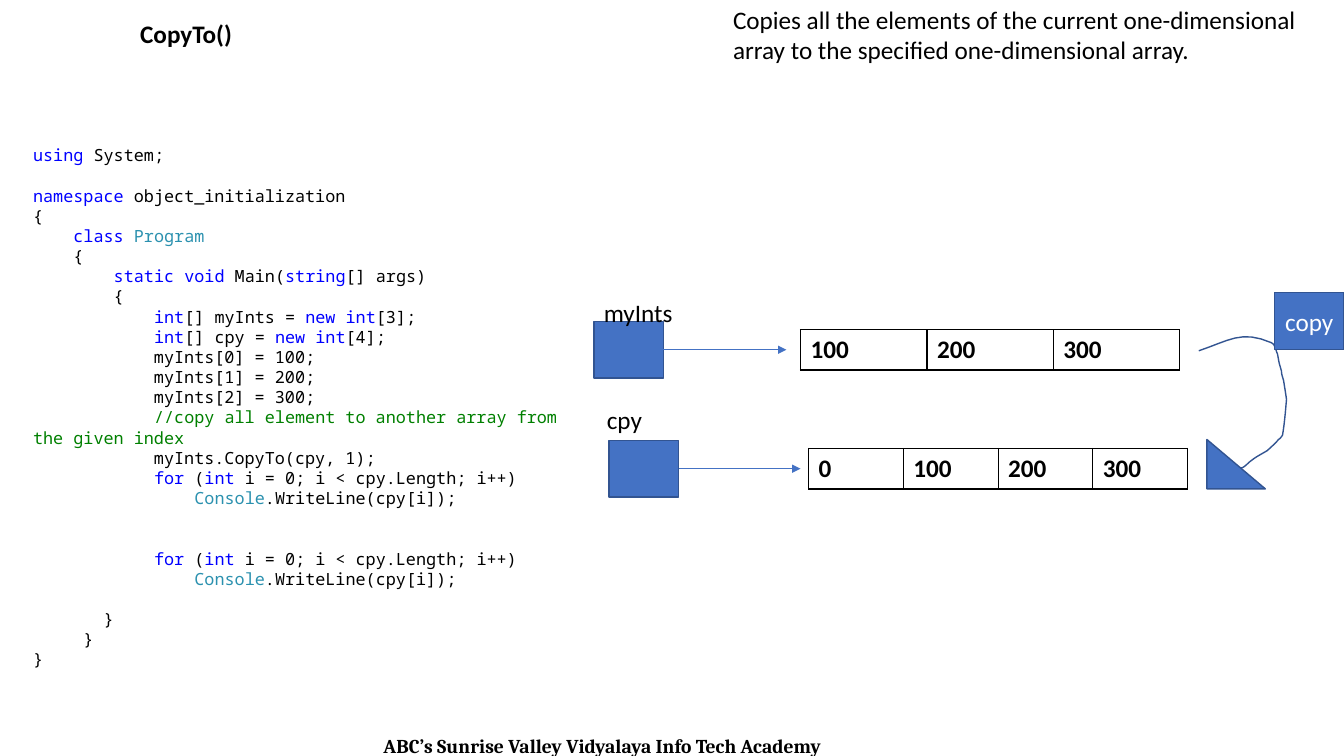
from lxml import etree
from pptx import Presentation
from pptx import util as u
from pptx.dml.color import RGBColor
from pptx.enum import shapes, text
from pptx.oxml.ns import qn

BLACK, WHITE = "000000", "FFFFFF"
BLUE, OUTLINE = "4472C4", "325491"
KEYWORD, TYPE, REMARK = "0000FF", "2B91AF", "008000"
BOX_W, BOX_H = 0.69, 0.56
LINE_PITCH = 14.4

TOKEN_COLORS = dict.fromkeys(
    ["using", "namespace", "class", "static", "void", "string", "int", "new", "for"], KEYWORD)
TOKEN_COLORS.update(dict.fromkeys(["Program", "Console"], TYPE))

# Each entry: empty lines above, then the code with its coloured tokens between bars
PRINT_LOOP = ["            |for| (|int| i = 0; i < cpy.Length; i++)",
              "                |Console|.WriteLine(cpy[i]);"]
CODE = [
    (0, ["|using| System;"]),
    (1, ["|namespace| object_initialization",
         "{",
         "    |class| |Program",
         "    {",
         "        |static| |void| Main(|string|[] args)",
         "        {",
         "            |int|[] myInts = |new| |int|[3];",
         "            |int|[] cpy = |new| |int|[4];",
         "            myInts[0] = 100;",
         "            myInts[1] = 200;",
         "            myInts[2] = 300;",
         "            |//copy all element to another array from the given index",
         "            myInts.CopyTo(cpy, 1);"] + PRINT_LOOP),
    (2, PRINT_LOOP),
    (1, ["       }", "     }", "}"]),
]

# Bezier segments of the copy path: two control points and an end point
PATH_START = (11.89, 3.48)
PATH_CURVES = [
    (12.19, 3.38, 12.31, 3.27, 12.61, 3.4), (12.65, 3.42, 12.65, 3.47, 12.67, 3.51),
    (12.69, 3.61, 12.68, 3.58, 12.71, 3.68), (12.71, 3.71, 12.72, 3.74, 12.73, 3.77),
    (12.74, 3.83, 12.76, 3.96, 12.76, 3.96), (12.75, 4.08, 12.74, 4.2, 12.72, 4.32),
    (12.71, 4.33, 12.7, 4.35, 12.68, 4.36), (12.66, 4.39, 12.59, 4.45, 12.57, 4.47),
    (12.52, 4.5, 12.46, 4.53, 12.41, 4.57), (12.38, 4.59, 12.35, 4.63, 12.32, 4.64),
    (12.28, 4.65, 12.14, 4.65, 12.09, 4.65)]


def color(hex_value):
    return RGBColor.from_string(hex_value)


def inches(*lengths):
    return [u.Inches(length) for length in lengths]


def write(paragraph, words, size=18, font="Calibri", fill=BLACK, bold=False, align=None):
    run = paragraph.add_run()
    run.text = words
    run.font.size, run.font.name, run.font.bold = u.Pt(size), font, bold
    run.font.color.rgb = color(fill)
    if align is not None:
        paragraph.alignment = align


def add_text_frame(slide, box):
    frame = slide.shapes.add_textbox(*inches(*box)).text_frame
    frame.word_wrap = True
    return frame


def add_label(slide, box, words, **style):
    write(add_text_frame(slide, box).paragraphs[0], words, **style)


def style_outline(shape, fill=None):
    shape.shadow.inherit = False
    if fill:
        shape.fill.solid()
        shape.fill.fore_color.rgb = color(fill)
    else:
        shape.fill.background()
    shape.line.color.rgb = color(OUTLINE)
    shape.line.width = u.Pt(1)


def add_block(slide, kind, box):
    block = slide.shapes.add_shape(kind, *inches(*box))
    style_outline(block, BLUE)
    return block


def add_row(slide, box, values):
    """One-row table with equal columns and no style of its own."""
    row = slide.shapes.add_table(1, len(values), *inches(*box)).table
    row.first_row = row.horz_banding = False
    for column in row.columns:
        column.width = u.Inches(box[2] / len(values))
    return list(row.iter_cells())


def draw_borders(cell):
    properties = cell._tc.get_or_add_tcPr()
    for position, side in enumerate(["a:lnL", "a:lnR", "a:lnT", "a:lnB"]):
        border = etree.Element(qn(side), w=str(u.Pt(1)))
        solid = etree.SubElement(border, qn("a:solidFill"))
        etree.SubElement(solid, qn("a:srgbClr"), val=BLACK)
        properties.insert(position, border)


# Header: method name and its description
def add_header(slide, box, method, description):
    for cell, words, bold in zip(add_row(slide, box, [method, description]),
                                 [method, description], [True, False]):
        cell.fill.background()
        cell.vertical_anchor = text.MSO_ANCHOR.MIDDLE
        write(cell.text_frame.paragraphs[0], words, bold=bold)


# Code listing
def add_code(slide, box):
    frame = add_text_frame(slide, box)
    paragraph = frame.paragraphs[0]
    for empty_lines, lines in CODE:
        for number, line in enumerate(lines):
            if paragraph.runs:
                paragraph = frame.add_paragraph()
            paragraph.line_spacing = u.Pt(LINE_PITCH)
            if number == 0 and empty_lines:
                paragraph.space_before = u.Pt(LINE_PITCH * empty_lines)
            for token in filter(None, line.split("|")):
                fill = REMARK if token.startswith("//") else TOKEN_COLORS.get(token, BLACK)
                write(paragraph, token, size=12, font="Noto Sans Mono", fill=fill)


# Array: reference box, arrow, cells and variable name
def add_array(slide, left, top, name, name_at, arrow_end, cells_left, values):
    reference = add_block(slide, shapes.MSO_SHAPE.RECTANGLE, (left, top, BOX_W, BOX_H))
    middle = top + BOX_H / 2
    arrow = slide.shapes.add_connector(
        shapes.MSO_CONNECTOR.STRAIGHT, *inches(left + BOX_W, middle, arrow_end, middle))
    arrow.begin_connect(reference, 3)
    arrow.line.color.rgb = color(BLUE)
    arrow.line.width = u.Pt(0.5)
    etree.SubElement(arrow.line._get_or_add_ln(), qn("a:tailEnd"), type="triangle")
    etree.SubElement(arrow._element.spPr, qn("a:effectLst"))

    for cell, value in zip(add_row(slide, (cells_left, top + 0.08, 3.76, 0.4), values), values):
        cell.fill.solid()
        cell.fill.fore_color.rgb = color(WHITE)
        draw_borders(cell)
        write(cell.text_frame.paragraphs[0], value, bold=True)
    add_label(slide, (*name_at, 0.97, 0.4), name)


# Curved path from the first array to the second
def add_copy_path(slide, steps=8):
    points, start = [], PATH_START
    for x1, y1, x2, y2, x3, y3 in PATH_CURVES:
        for step in range(1, steps + 1):
            t = step / steps
            weights = ((1 - t) ** 3, 3 * t * (1 - t) ** 2, 3 * t ** 2 * (1 - t), t ** 3)
            points.append(tuple(
                u.Inches(sum(w * c for w, c in zip(weights, axis)))
                for axis in ((start[0], x1, x2, x3), (start[1], y1, y2, y3))))
        start = (x3, y3)
    builder = slide.shapes.build_freeform(*inches(*PATH_START))
    builder.add_line_segments(points, close=False)
    style_outline(builder.convert_to_shape())

    add_block(slide, shapes.MSO_SHAPE.RIGHT_TRIANGLE, (11.97, 4.36, 0.58, 0.49))
    copy_box = add_block(slide, shapes.MSO_SHAPE.RECTANGLE, (12.64, 2.9, BOX_W, 0.57))
    copy_box.text_frame.vertical_anchor = text.MSO_ANCHOR.MIDDLE
    write(copy_box.text_frame.paragraphs[0], "copy", fill=WHITE, align=text.PP_ALIGN.CENTER)


def main():
    deck = Presentation()
    deck.slide_width, deck.slide_height = inches(13.33, 7.5)
    slide = deck.slides.add_slide(deck.slide_layouts[6])

    add_label(slide, (1.32, 7.23, 9.31, 0.34), "ABC’s Sunrise Valley Vidyalaya Info Tech Academy",
              size=14, font="Cambria", bold=True, align=text.PP_ALIGN.CENTER)
    add_header(slide, (1.29, 0, 11.76, 0.7), "CopyTo()",
               "Copies all the elements of the current one-dimensional array "
               "to the specified one-dimensional array.")
    add_code(slide, (0.23, 1.39, 5.66, 5.35))
    add_array(slide, 5.89, 3.19, "myInts", (5.89, 2.9), 7.8, 7.94, ["100", "200", "300"])
    add_array(slide, 6.04, 4.37, "cpy", (5.92, 3.96), 7.94, 8.02, ["0", "100", "200", "300"])
    add_copy_path(slide)
    deck.save("out.pptx")


if __name__ == "__main__":
    main()
